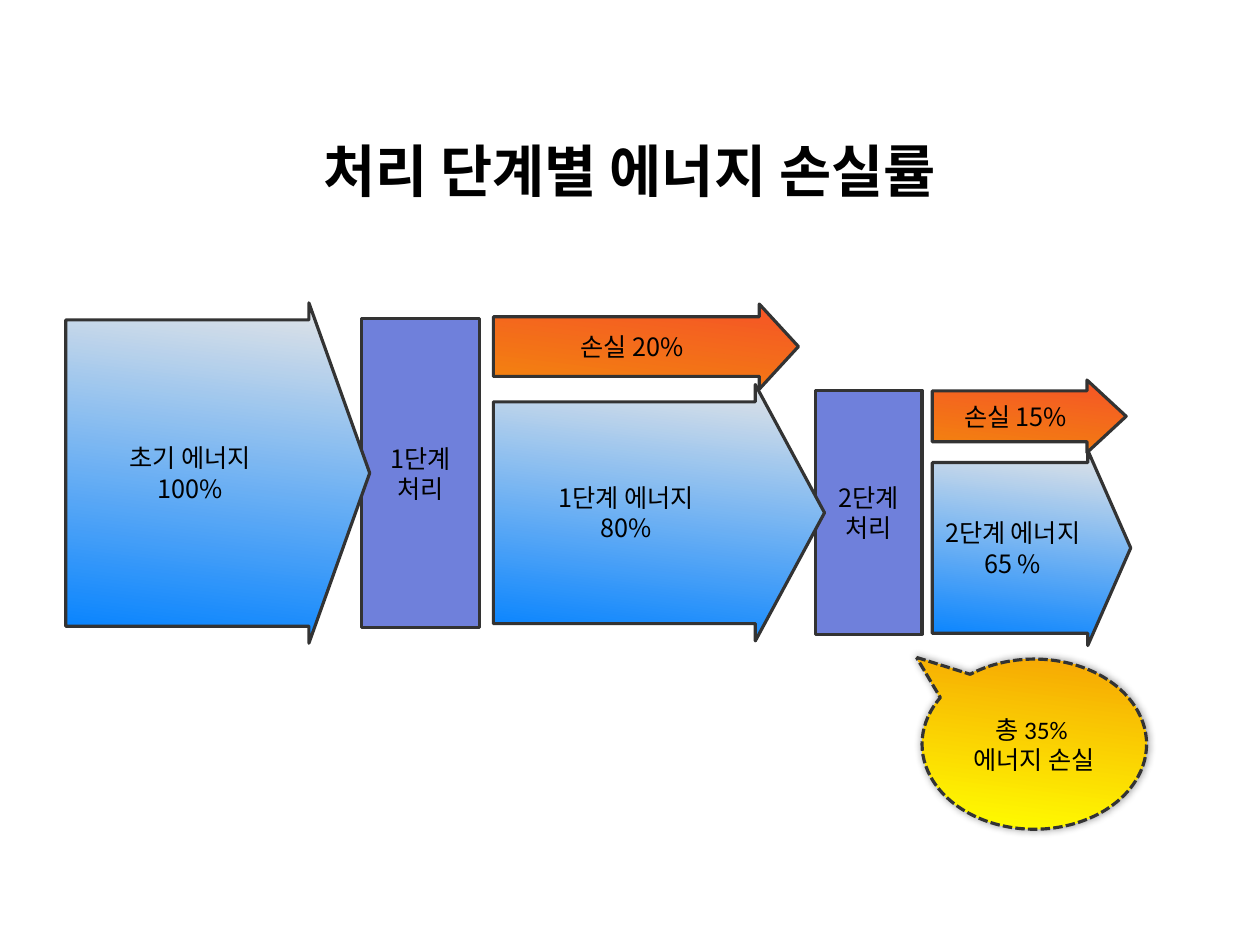
"""Build a slide on energy loss per processing stage."""
from dataclasses import dataclass

from lxml import etree
from pptx import Presentation
from pptx.dml.color import RGBColor
from pptx.enum.dml import MSO_LINE
from pptx.enum.shapes import MSO_SHAPE
from pptx.enum.text import MSO_ANCHOR, PP_ALIGN
from pptx.oxml.ns import qn
from pptx.util import Pt

ARROW = MSO_SHAPE.RIGHT_ARROW
BOX = MSO_SHAPE.RECTANGLE
BUBBLE = MSO_SHAPE.OVAL_CALLOUT
DASH = MSO_LINE.SQUARE_DOT
MIDDLE = MSO_ANCHOR.MIDDLE
CENTER = PP_ALIGN.CENTER
SCALE = 9144
UP = 83


@dataclass(frozen=True)
class Theme:
    """Colours, fonts and sizes of the slide."""
    ink: str = "000000"
    edge: str = "333333"
    stage: str = "6F80DB"
    flow: tuple = ("0080FF", "E6E6E6")
    loss: tuple = ("F2850E", "F55327")
    total: tuple = ("FFFF00", "F6A504")
    font: str = "Noto Sans CJK KR"
    latin: str = "Calibri"
    title: int = 36
    label: int = 16
    stroke: int = 2


THEME = Theme()


def px(*vals):
    """Turn px lengths into EMU."""
    return [val * SCALE for val in vals]


def rgb(code):
    """Turn a hex code into a colour."""
    return RGBColor.from_string(code)


def write(shape, text, size=THEME.label, font=THEME.font, bold=False, pad=0):
    """Put centred text into a shape, one paragraph a line."""
    frame = shape.text_frame
    frame.word_wrap = True
    frame.vertical_anchor = MIDDLE
    frame.margin_left = frame.margin_right = pad * SCALE
    frame.margin_top = frame.margin_bottom = pad * SCALE
    frame.text = text
    for para in frame.paragraphs:
        para.alignment = CENTER
        for run in para.runs:
            run.font.size = Pt(size)
            run.font.bold = bold
            run.font.name = font
            run.font.color.rgb = rgb(THEME.ink)
            props = run._r.get_or_add_rPr()
            etree.SubElement(props, qn("a:ea"), typeface=THEME.font)


def blend(shape, pair):
    """Fill a shape with a gradient that runs from bottom to top."""
    shape.fill.gradient()
    shape.fill.gradient_angle = UP
    for stop, code in zip(shape.fill.gradient_stops, pair):
        stop.color.rgb = rgb(code)


def outline(slide, kind, area):
    """Add a preset shape with the common edge and no shadow."""
    shape = slide.shapes.add_shape(kind, *px(*area))
    shape.shadow.inherit = False
    shape.line.color.rgb = rgb(THEME.edge)
    shape.line.width = Pt(THEME.stroke)
    return shape


def stage(slide, text, area):
    """Add a box for a processing stage."""
    shape = outline(slide, BOX, area)
    shape.fill.solid()
    shape.fill.fore_color.rgb = rgb(THEME.stage)
    write(shape, text)


def arrow(slide, text, area, pair, shaft, head):
    """Add an energy arrow with its shaft and head ratios."""
    shape = outline(slide, ARROW, area)
    shape.adjustments[0] = shaft
    shape.adjustments[1] = head
    blend(shape, pair)
    write(shape, text)


def glow(shape):
    """Add a soft shadow all around a shape."""
    effects = shape._element.spPr.find(qn("a:effectLst"))
    shade = etree.SubElement(effects, qn("a:outerShdw"), blurRad=str(Pt(5)),
                             dist="0", dir="0", rotWithShape="0")
    color = etree.SubElement(shade, qn("a:srgbClr"), val=THEME.ink)
    etree.SubElement(color, qn("a:alpha"), val="40000")


def bubble(slide, text, area):
    """Add the dashed callout with the total loss."""
    shape = outline(slide, BUBBLE, area)
    shape.adjustments[0] = -0.525
    shape.adjustments[1] = -0.51
    blend(shape, THEME.total)
    shape.line.dash_style = DASH
    glow(shape)
    write(shape, text, font=THEME.latin)


def title(slide, text, area):
    """Add the slide title."""
    shape = slide.shapes.add_textbox(*px(*area))
    write(shape, text, size=THEME.title, bold=True, pad=4)


def main():
    """Build and save the slide."""
    deck = Presentation()
    deck.slide_width, deck.slide_height = px(1111, 833)
    slide = deck.slides.add_slide(deck.slide_layouts[6])
    stage(slide, "2단계\n처리", (719, 344, 94, 215))
    stage(slide, "1단계\n처리", (319, 281, 104, 272))
    flow, loss = THEME.flow, THEME.loss
    for args in (
        ("초기 에너지\n100%", (58, 267, 268, 300), flow, 0.9, 0.2),
        ("손실 20%", (435, 268, 269, 75), loss, 0.7, 0.46),
        ("1단계 에너지 \n80% ", (435, 339, 292, 226), flow, 0.865, 0.27),
        ("2단계 에너지\n65 %", (822, 397, 175, 172), flow, 0.875, 0.22),
        ("손실 15%", (822, 335, 171, 64), loss, 0.7, 0.54),
    ):
        arrow(slide, *args)
    title(slide, "처리 단계별 에너지 손실률", (108, 69, 894, 161))
    bubble(slide, "총 35% \n에너지 손실", (813, 581, 198, 150))
    deck.save("out.pptx")


if __name__ == "__main__":
    main()
